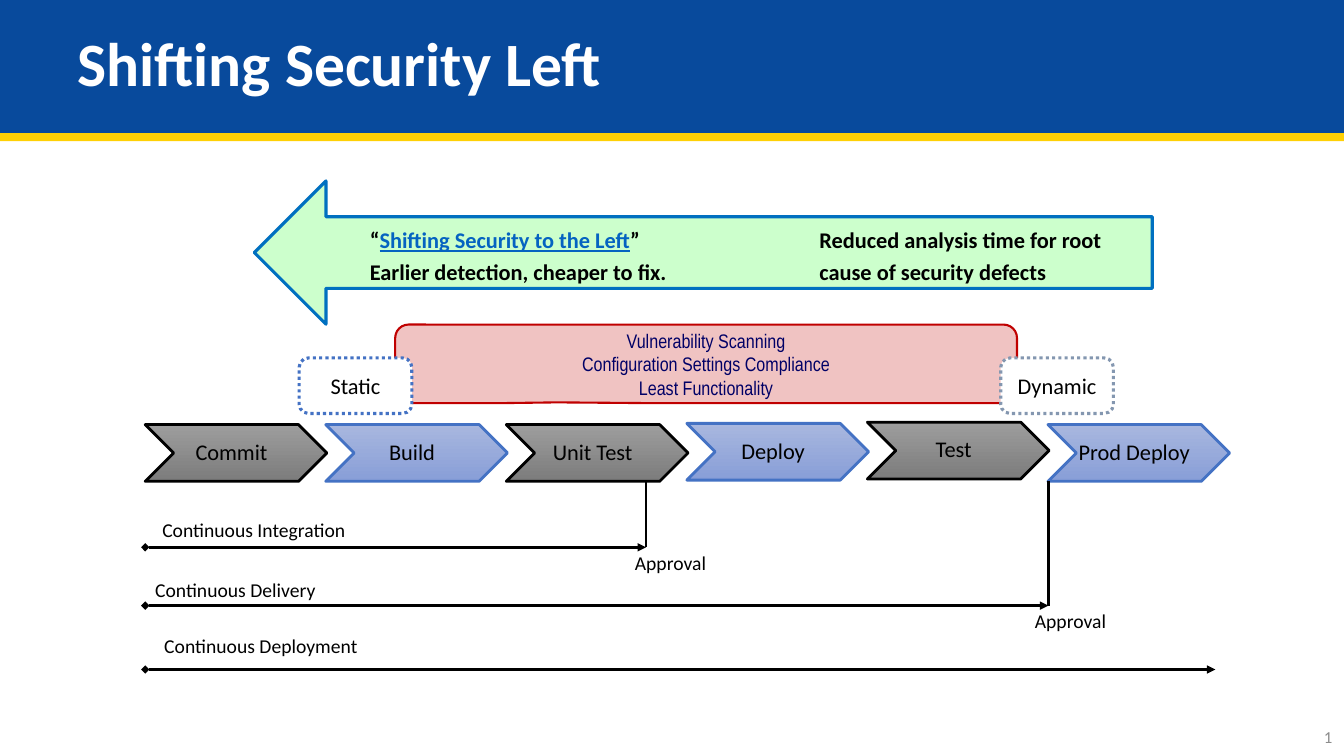
from dataclasses import dataclass
from pptx import Presentation
from pptx.dml.color import RGBColor
from pptx.enum import dml, shapes, text
from pptx.oxml import ns, xmlchemy as xml
from pptx.util import Cm, Pt


@dataclass(frozen=True)
class Theme:
    face: str = "Calibri"
    slim: str = "Arial Narrow"
    navy: str = "084A9C"
    gold: str = "FFD004"
    white: str = "FFFFFF"
    black: str = "000000"
    gray: str = "8C8C8C"
    blue: str = "4472C4"
    slate: str = "8497B0"
    mint: str = "CCFFCC"
    edge: str = "0070C0"
    pink: str = "F0C3C2"
    red: str = "C00000"
    ink: str = "000066"
    link: str = "0563C1"
    steel: tuple = ("9D9D9D", "7C7C7C")
    sky: tuple = ("A8B7DF", "889ED7")
    title: int = 44
    body: int = 16
    label: int = 14
    small: int = 12


T = Theme()
KIND = shapes.MSO_SHAPE
ALIGN = text.PP_ALIGN
MID = text.MSO_ANCHOR.MIDDLE
rgb = RGBColor.from_string


def draw(kind, place, fill=None, line=None, width=2.25):
    """Add a shape, or a text box when kind is None; place is in cm."""
    spot = [Cm(v) for v in place]
    if kind is None:
        box = slide.shapes.add_textbox(*spot)
    else:
        box = slide.shapes.add_shape(kind, *spot)
        box.shadow.inherit = False
        if isinstance(fill, tuple):
            box.fill.gradient()
            box.fill.gradient_angle = 270
            for stop, tint in zip(box.fill.gradient_stops, fill):
                stop.color.rgb = rgb(tint)
        else:
            box.fill.solid()
            box.fill.fore_color.rgb = rgb(fill)
        if line:
            box.line.color.rgb = rgb(line)
            box.line.width = Pt(width)
        else:
            box.line.fill.background()
        box.text_frame.vertical_anchor = MID
    box.text_frame.word_wrap = True
    return box


def write(para, words, size, color=T.black, align=ALIGN.LEFT, bold=False, face=T.face):
    para.alignment = align
    run = para.add_run()
    run.text = words
    run.font.name, run.font.size, run.font.bold = face, Pt(size), bold
    run.font.color.rgb = rgb(color)
    return run


deck = Presentation()
deck.slide_width, deck.slide_height = Cm(33.87), Cm(19.05)
slide = deck.slides.add_slide(deck.slide_layouts[5])

# Title band with its gold edge
title = slide.shapes.title
for high, tint in ((3.56, T.gold), (3.35, T.navy)):
    band = draw(KIND.RECTANGLE, (0, 0, 33.87, high), tint)
    title._element.addprevious(band._element)
title.left, title.top, title.width, title.height = Cm(1.7), 0, Cm(30.48), Cm(3.35)
title.text_frame.vertical_anchor = MID
head = title.text_frame.paragraphs[0]
head.line_spacing = 0.9
write(head, "Shifting Security Left", T.title, T.white, bold=True)

# Slide number
num = draw(None, (26.21, 17.93, 7.62, 1.02)).text_frame
num.vertical_anchor = text.MSO_ANCHOR.BOTTOM
write(num.paragraphs[0], "1", T.small, T.gray, ALIGN.RIGHT)

# Shift-left arrow
draw(KIND.LEFT_ARROW, (6.41, 4.56, 22.63, 3.61), T.mint, T.edge)

# Shared checks
call = draw(KIND.ROUNDED_RECTANGULAR_CALLOUT, (9.96, 8.18, 15.67, 1.98), T.pink, T.red, 1.5)
for i, v in enumerate((-0.24, 0.49, 0.17)):
    call.adjustments[i] = v
frame = call.text_frame
frame.margin_top = frame.margin_bottom = 0
checks = ("Vulnerability Scanning", "Configuration Settings Compliance", "Least Functionality")
for i, check in enumerate(checks):
    para = frame.add_paragraph() if i else frame.paragraphs[0]
    write(para, check, T.label, T.ink, ALIGN.CENTER, face=T.slim)

# Pipeline steps, each with its small lift
steps = (("Commit", 0), ("Build", 0), ("Unit Test", 0),
         ("Deploy", 0.03), ("Test", 0.06), ("Prod Deploy", 0))
for i, (step, lift) in enumerate(steps):
    fill, line = ((T.steel, T.black), (T.sky, T.blue))[i % 2]
    box = draw(KIND.CHEVRON, (3.66 + 4.55 * i, 10.7 - lift, 4.58, 1.43), fill, line, 2)
    frame = box.text_frame
    frame.margin_left, frame.margin_right = 0, Cm(0.23)
    frame.margin_top = frame.margin_bottom = Cm(0.18)
    frame.paragraphs[0].line_spacing = 0.9
    write(frame.paragraphs[0], step, T.body, align=ALIGN.CENTER)

# Spans and approval gates: x1, y1, x2, y2, arrow
lines = ((3.66, 13.79, 16.28, 13.79, True), (16.28, 13.79, 16.28, 12.12, False),
         (3.66, 15.26, 26.42, 15.26, True), (26.42, 15.26, 26.42, 12.12, False),
         (3.66, 16.87, 30.63, 16.87, True))
for *ends, arrow in lines:
    wire = slide.shapes.add_connector(shapes.MSO_CONNECTOR.STRAIGHT, *[Cm(v) for v in ends])
    wire.line.color.rgb = rgb(T.black)
    wire.line.width = Pt(2)
    if arrow:
        for tag, tip in (("a:headEnd", "diamond"), ("a:tailEnd", "triangle")):
            end = xml.OxmlElement(tag)
            end.set("type", tip)
            wire.line._get_or_add_ln().append(end)
    wire._element.find(ns.qn("p:spPr")).append(xml.OxmlElement("a:effectLst"))

# Span labels
labels = (("Continuous Integration", 3.84, 12.93), ("Continuous Delivery", 3.66, 14.44),
          ("Continuous Deployment", 3.89, 15.85), ("Approval", 15.75, 13.75),
          ("Approval", 25.83, 15.21))
for label, x, y in labels:
    box = draw(None, (x, y, 6.4 if " " in label else 2.87, 0.86))
    write(box.text_frame.paragraphs[0], label, T.label)

# Arrow wording
gains = ((9.07, 9.53, ("\u201c", "Shifting Security to the Left", "\u201d", "",
                       "Earlier detection, cheaper to fix.")),
         (20.4, 8.64, ("Reduced analysis time for root cause of security defects",)))
for x, wide, parts in gains:
    para = draw(None, (x, 5.44, wide, 1.85)).text_frame.paragraphs[0]
    para.line_spacing = 1.2
    for part in parts:
        if not part:
            para.add_line_break()
            continue
        linked = part.startswith("Shifting")
        run = write(para, part, T.body, T.link if linked else T.black, bold=True)
        run.font.underline = linked

# Test types
for kind, x, line in (("Static", 7.54, T.blue), ("Dynamic", 25.22, T.slate)):
    box = draw(KIND.ROUNDED_RECTANGLE, (x, 9.02, 2.84, 1.4), T.white, line)
    box.line.dash_style = dml.MSO_LINE.ROUND_DOT
    box.text_frame.margin_left = box.text_frame.margin_right = Cm(0.1)
    write(box.text_frame.paragraphs[0], kind, T.body, align=ALIGN.CENTER)

deck.save("out.pptx")
